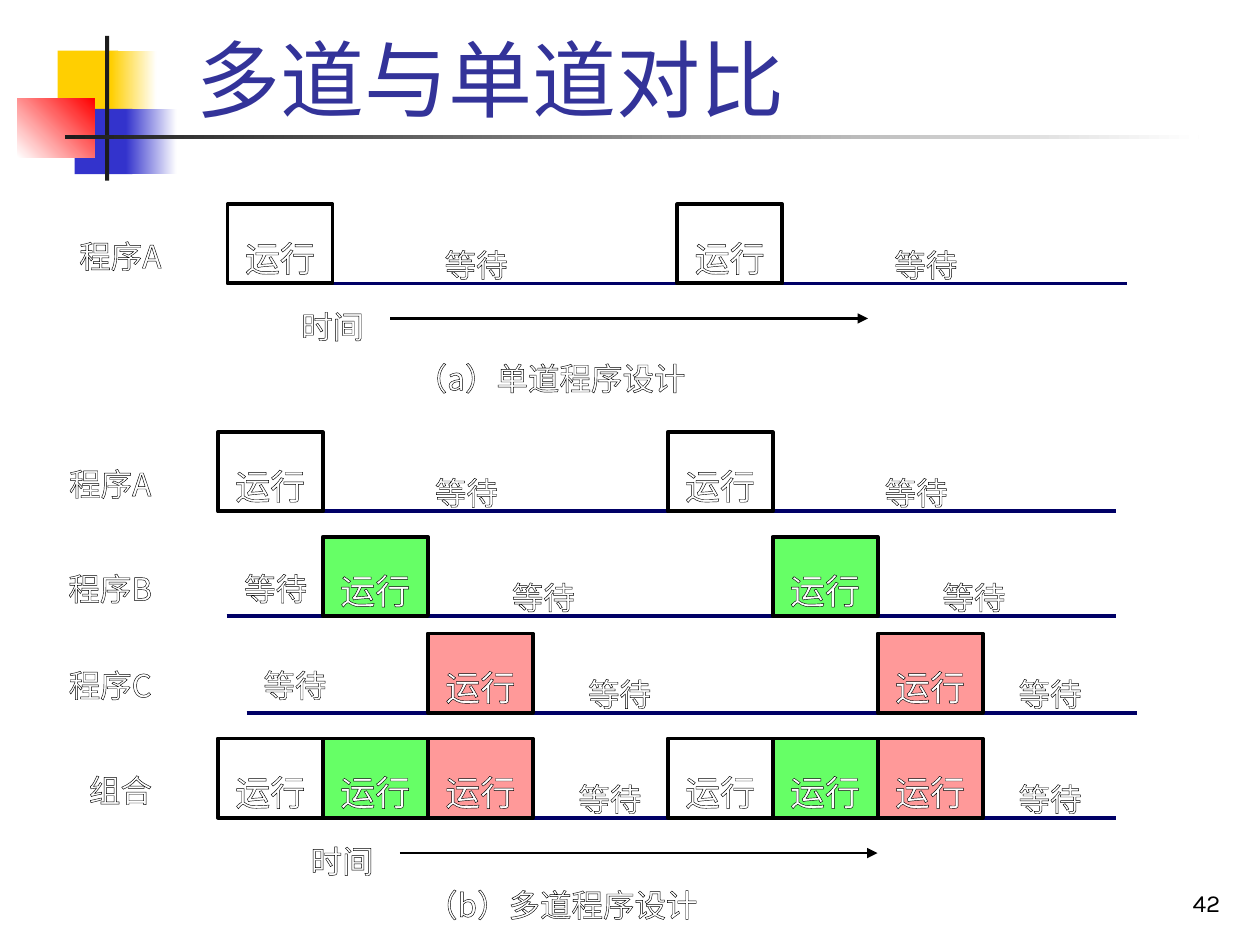
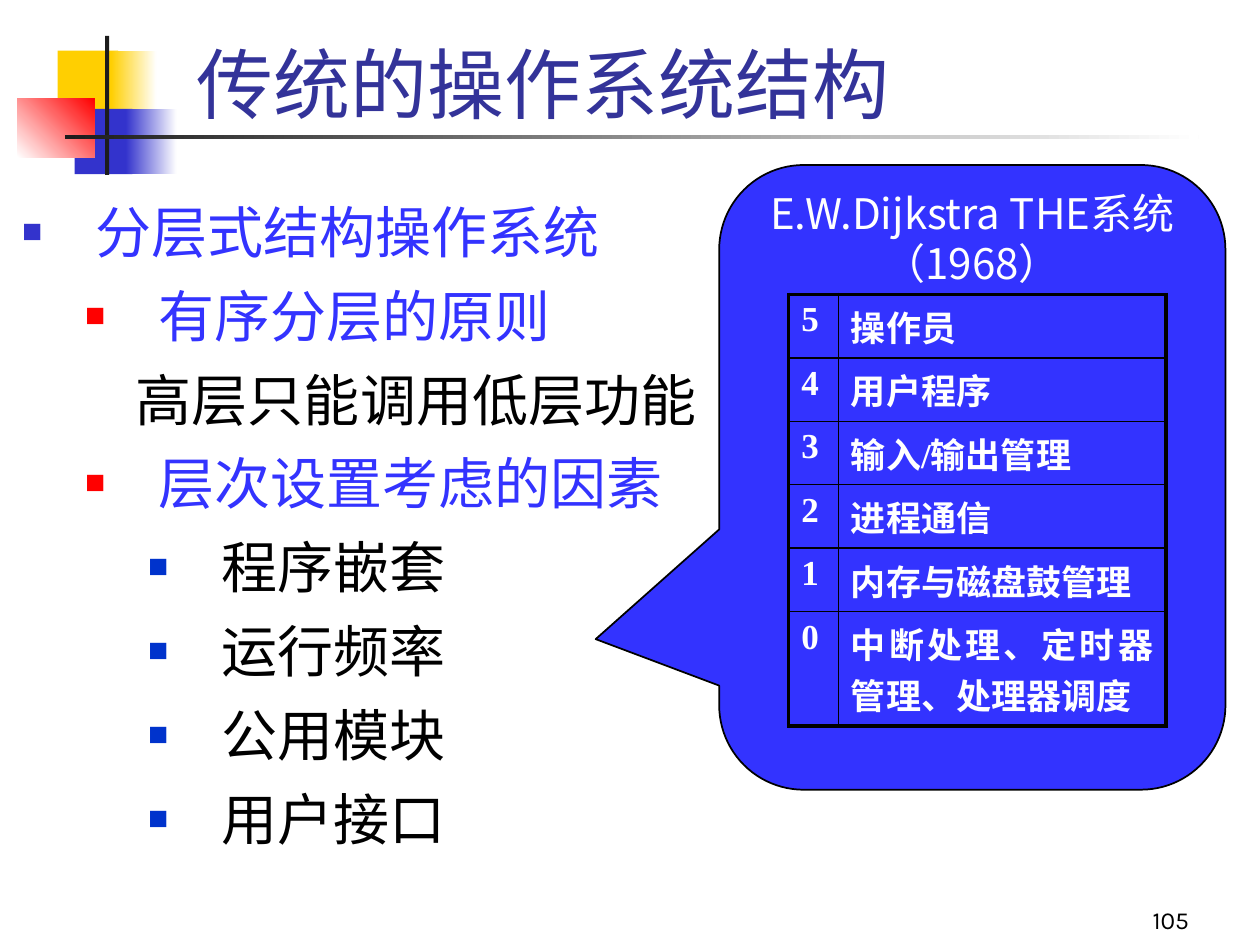
from lxml import etree
from pptx import Presentation
from pptx.dml.color import RGBColor
from pptx.enum.shapes import MSO_CONNECTOR, MSO_SHAPE
from pptx.enum.text import MSO_ANCHOR, MSO_AUTO_SIZE, PP_ALIGN
from pptx.oxml import parse_xml
from pptx.oxml.ns import nsdecls, qn
from pptx.util import Pt

RECT, CALLOUT = MSO_SHAPE.RECTANGLE, MSO_SHAPE.ROUNDED_RECTANGULAR_CALLOUT
STRAIGHT = MSO_CONNECTOR.STRAIGHT
TOP, BOTTOM = MSO_ANCHOR.TOP, MSO_ANCHOR.BOTTOM
LEFT, CENTER, RIGHT, JUSTIFY = PP_ALIGN.LEFT, PP_ALIGN.CENTER, PP_ALIGN.RIGHT, PP_ALIGN.JUSTIFY
NO_FIT = MSO_AUTO_SIZE.NONE

JP, SC, KARLA, TIMES = "Noto Sans CJK JP", "Noto Sans CJK SC", "Karla", "Times New Roman"
BLACK, WHITE, INK, NAVY = "000000", "FFFFFF", "1C1C1C", "000066"
YELLOW, BLUE, RED, TITLE, BRIGHT = "FFCF01", "3333CC", "FF0000", "333399", "3333FF"
GREEN, PINK = "66FF66", "FF9999"

# left, top, width, height, colours, gradient angle
DECOR = [
    (33, 29, 34.5, 37.5, (YELLOW,), 0),
    (63.5, 29, 26, 37.5, (YELLOW, WHITE), 0),
    (42.7, 62.3, 33, 37.2, (BLUE,), 0),
    (72, 62.3, 29, 37.2, (BLUE, WHITE), 0),
    (10, 56.3, 44, 33.5, (WHITE, RED), 45),
    (60, 20.5, 2.4, 82.8, (INK,), 0),
    (37, 77, 648, 2.4, (INK, WHITE), 0),
]

# name, name centre, top, axis start, first box, box slots, waits (centre, drop)
ROWS = [
    ("程序A", 68.8, 116.8, 135.5, 130, {0: WHITE}, [(272, 20), (529, 20)]),
    ("程序A", 63, 247, 129.5, 124.5, {0: WHITE}, [(266.5, 20), (523.5, 20)]),
    ("程序B", 63, 306.8, 129.5, 124.5, {1: GREEN}, [(157.5, 15), (310.5, 20), (556.5, 20)]),
    ("程序C", 63, 362, 141, 124.5, {2: PINK}, [(168.5, 15), (354, 20), (600, 20)]),
    ("组合", 68.8, 422, 129.5, 124.5, {0: WHITE, 1: GREEN, 2: PINK}, [(348.5, 20), (600, 20)]),
]
BOX_W, BOX_H, CYCLE, AXIS, NAME_DROP = 60, 45.2, 257, 508.5, 15

# arrow start, arrow height, caption, caption centre, caption top
PANELS = [
    (223, 182, "（a）单道程序设计", 314.6, 201.6),
    (228.5, 487.5, "（b）多道程序设计", 321, 502.5),
]

# text, level, left margin, colour, bullet colour
OUTLINE = [
    ("分层式结构操作系统", 0, 42, BRIGHT, BLUE),
    ("有序分层的原则", 1, 78, BRIGHT, RED),
    ("高层只能调用低层功能", 0, 65, BLACK, None),
    ("层次设置考虑的因素", 1, 78, BRIGHT, RED),
] + [(t, 2, 114, BLACK, "0033CC") for t in ("程序嵌套", "运行频率", "公用模块", "用户接口")]

SYSTEM = ["E.W.Dijkstra THE系统", "（1968）"]
LAYERS = ["操作员", "用户程序", "输入/输出管理", "进程通信", "内存与磁盘鼓管理",
          "中断处理、定时器管理、处理器调度"]


def rgb(value):
    return RGBColor.from_string(value)


def line_xml(tag, color, width):
    return parse_xml(
        f'<a:{tag} {nsdecls("a")} w="{round(width * 12700)}"><a:solidFill>'
        f'<a:srgbClr val="{color}"/></a:solidFill></a:{tag}>')


def style(p, size, color, font, align=LEFT, bold=False, outline=False, asian=None):
    p.alignment = align
    for r in p.runs:
        f = r.font
        f.size, f.bold, f.name, f.color.rgb = Pt(size), bold, font, rgb(color)
        rpr = r._r.get_or_add_rPr()
        etree.SubElement(rpr, qn("a:ea")).set("typeface", asian or font)
        if outline:
            rpr.insert(0, line_xml("ln", BLACK, 0.75))


def place(sp, x, y, w, h):
    sp.left, sp.top, sp.width, sp.height = Pt(x), Pt(y), Pt(w), Pt(h)


def add_box(s, kind, x, y, w, h, colors, angle=0, border=None):
    sp = s.shapes.add_shape(kind, Pt(x), Pt(y), Pt(w), Pt(h))
    sp.shadow.inherit = False
    if len(colors) == 1:
        sp.fill.solid()
        sp.fill.fore_color.rgb = rgb(colors[0])
    else:
        sp.fill.gradient()
        sp.fill.gradient_angle = angle
        for stop, color in zip(sp.fill.gradient_stops, colors):
            stop.color.rgb = rgb(color)
    if border:
        sp.line.color.rgb, sp.line.width = rgb(BLACK), Pt(border)
    else:
        sp.line.fill.background()
    return sp


def add_line(s, x, y, length, color, width, arrow=False):
    c = s.shapes.add_connector(STRAIGHT, Pt(x), Pt(y), Pt(x + length), Pt(y))
    c.line.color.rgb, c.line.width = rgb(color), Pt(width)
    if arrow:
        etree.SubElement(c.line._get_or_add_ln(), qn("a:tailEnd")).set("type", "triangle")
    etree.SubElement(c._element.spPr, qn("a:effectLst"))


def add_label(s, text, center, top, size=18):
    w = len(text) * size * 1.1
    tf = s.shapes.add_textbox(Pt(center - w / 2), Pt(top), Pt(w), Pt(16)).text_frame
    tf.margin_left = tf.margin_right = tf.margin_bottom = 0
    tf.margin_top = Pt(3.5)
    tf.word_wrap = False
    tf.text = text
    style(tf.paragraphs[0], size, WHITE, SC, CENTER, outline=True)


def add_number(s, text, x, y, w, h, anchor):
    tf = s.shapes.add_textbox(Pt(x), Pt(y), Pt(w), Pt(h)).text_frame
    tf.word_wrap, tf.vertical_anchor = True, anchor
    tf.text = text
    style(tf.paragraphs[0], 14, BLACK, KARLA, RIGHT)


def add_slide(prs, layout, title, size):
    s = prs.slides.add_slide(prs.slide_layouts[layout])
    sp = s.shapes.title
    place(sp, 105, 7, 584, 70)
    tf = sp.text_frame
    tf.text = title
    tf.auto_size, tf.vertical_anchor = NO_FIT, BOTTOM
    style(tf.paragraphs[0], size, TITLE, JP)
    return s


def decorate_master(prs, s):
    tree = prs.slide_master.shapes._spTree
    for i, (x, y, w, h, colors, angle) in enumerate(DECOR):
        sp = add_box(s, RECT, x, y, w, h, colors, angle)
        sp._element.nvSpPr.cNvPr.set("id", str(20 + i))
        tree.append(sp._element)


def draw_timeline(s):
    for name, center, top, start, first, slots, waits in ROWS:
        add_line(s, start, top + BOX_H, AXIS, NAVY, 2.25)
        for slot, color in slots.items():
            for cycle in range(2):
                x = first + slot * BOX_W + cycle * CYCLE
                add_box(s, RECT, x, top, BOX_W, BOX_H, (color,), border=2.25)
                add_label(s, "运行", x + BOX_W / 2, top + NAME_DROP, 20)
        for x, drop in waits:
            add_label(s, "等待", x, top + drop)
        add_label(s, name, center, top + NAME_DROP)
    for x, y, caption, center, top in PANELS:
        add_line(s, x, y, 273, BLACK, 1.5, arrow=True)
        add_label(s, "时间", x - 33, y - 10)
        add_label(s, caption, center, top)


def set_bullet(p, margin, color):
    ppr = p._p.get_or_add_pPr()
    ppr.set("marL", str(Pt(margin)))
    ppr.set("indent", str(Pt(-42 if color else 0)))
    if not color:
        etree.SubElement(ppr, qn("a:buNone"))
        return
    clr = etree.SubElement(ppr, qn("a:buClr"))
    etree.SubElement(clr, qn("a:srgbClr")).set("val", color)
    for tag, key, value in (("buSzPct", "val", "60000"), ("buFont", "typeface", TIMES),
                            ("buChar", "char", "■")):
        etree.SubElement(ppr, qn("a:" + tag)).set(key, value)


def fill_outline(sp):
    place(sp, 5.5, 100, 405.5, 382)
    sp.fill.solid()
    sp.fill.fore_color.rgb = rgb(WHITE)
    tf = sp.text_frame
    tf.auto_size, tf.vertical_anchor, tf.margin_top = NO_FIT, TOP, Pt(3)
    for i, (text, level, margin, color, bullet) in enumerate(OUTLINE):
        p = tf.add_paragraph() if i else tf.paragraphs[0]
        p.text, p.level = text, level
        p.line_spacing, p.space_before = Pt(48), Pt(0)
        style(p, 32, color, JP)
        set_bullet(p, margin, bullet)


def draw_callout(s):
    sp = add_box(s, CALLOUT, 411, 94.3, 289.3, 357, (BRIGHT,), border=1)
    for i, value in enumerate((-0.744, 0.259, 0.167)):
        sp.adjustments[i] = value
    tf = sp.text_frame
    tf.word_wrap, tf.vertical_anchor = True, TOP
    tf.text = "\n".join(SYSTEM)
    for p in tf.paragraphs:
        p.line_spacing, p.space_before = Pt(24), Pt(4.8)
        style(p, 24, WHITE, SC, CENTER)


def draw_layers(s):
    last = len(LAYERS) - 1
    table = s.shapes.add_table(last + 1, 2, Pt(450.7), Pt(168.2), Pt(215.5), Pt(220)).table
    table.first_row = table.horz_banding = False
    for col, w in zip(table.columns, (28.4, 187.1)):
        col.width = Pt(w)
    for i, layer in enumerate(LAYERS):
        table.rows[i].height = Pt(33)
        for j, text in enumerate((str(last - i), layer)):
            cell = table.cell(i, j)
            cell.text = text
            cell.fill.background()
            align = JUSTIFY if i == last and j else LEFT
            style(cell.text_frame.paragraphs[0], 20, WHITE, TIMES, align, bold=True, asian=SC)
            outer = {"lnL": j == 0, "lnR": j == 1, "lnT": i == 0, "lnB": i == last}
            for k, (tag, thick) in enumerate(outer.items()):
                cell._tc.get_or_add_tcPr().insert(k, line_xml(tag, BLACK, 2.25 if thick else 1))


def main():
    """Build the two operating-system slides."""
    prs = Presentation()
    prs.slide_width, prs.slide_height = Pt(720), Pt(540)

    s = add_slide(prs, 5, "多道与单道对比", 48)
    decorate_master(prs, s)
    add_number(s, "42", 554.5, 492, 150, 36, BOTTOM)
    draw_timeline(s)

    s = add_slide(prs, 1, "传统的操作系统结构", 44)
    fill_outline(s.placeholders[1])
    draw_callout(s)
    draw_layers(s)
    add_number(s, "105", 518.5, 513.7, 168, 20, TOP)
    prs.save("out.pptx")


if __name__ == "__main__":
    main()
